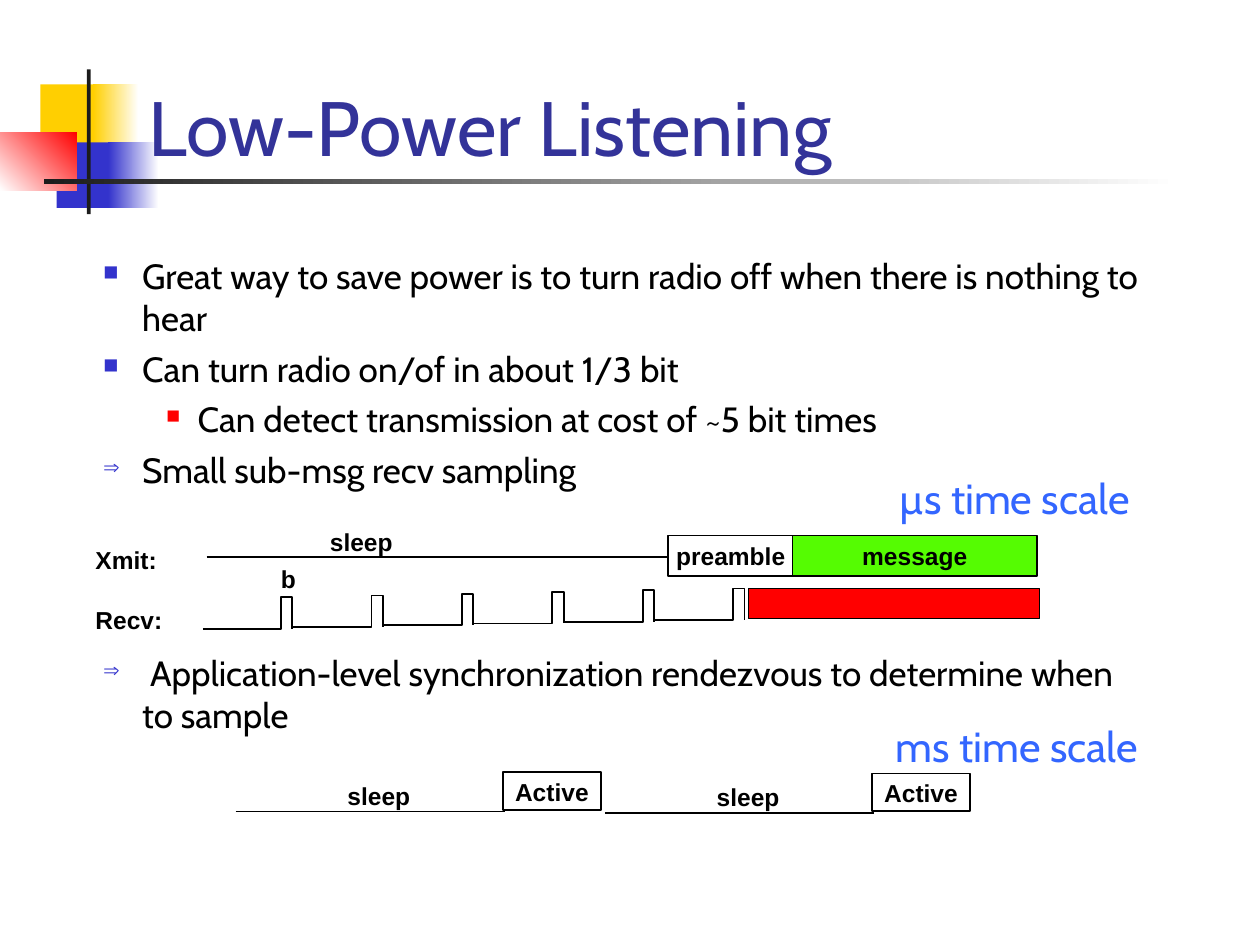
import pptx
import pptx.util
import pptx.dml.color
import pptx.enum.shapes
import pptx.enum.text
import pptx.oxml
import pptx.oxml.ns
import lxml.etree

Inches = pptx.util.Inches
Pt = pptx.util.Pt
ALIGN = pptx.enum.text.PP_ALIGN
ANCHOR = pptx.enum.text.MSO_ANCHOR

LABEL = {"name": "Arial", "size": Pt(14), "bold": True}
TITLE = {"name": "Cabin", "size": Pt(44)}
BODY = {"name": "Cabin", "size": Pt(20)}
SCALE = {"name": "Cabin", "size": Pt(24)}

DECORATION = [
    ((0.32, 0.67, 0.48, 0.52), ["FFCF01"], 0),
    ((0.74, 0.67, 0.36, 0.52), ["FFFFFF", "FFCF01"], 180),
    ((0.45, 1.13, 0.46, 0.52), ["3333CC"], 0),
    ((0.86, 1.13, 0.4, 0.52), ["FFFFFF", "3333CC"], 180),
    ((0, 1.05, 0.61, 0.46), ["FF0000", "FFFFFF"], 225),
    ((0.69, 0.55, 0.03, 1.15), ["1C1C1C"], 0),
    ((0.35, 1.42, 9, 0.04), ["FFFFFF", "1C1C1C"], 180),
]

BULLETS = [
    ("Great way to save power is to turn radio off when there is nothing to hear", 0, "■", 0),
    ("Can turn radio on/of in about 1/3 bit", 0, "■", 5),
    ("Can detect transmission at cost of ~5 bit times", 1, "■", 5),
    ("Small sub-msg recv sampling", 0, "⇒", 5),
    (" Application-level synchronization rendezvous to determine when to sample", 0, "⇒", 92),
]
LEVELS = [(0.31, -0.31, "3333CC", 60), (0.75, -0.25, "FF0000", 55)]


def rgb(color):
    return pptx.dml.color.RGBColor.from_string(color)


def apply(target, values):
    for name, value in values.items():
        setattr(target, name, value)


def outline(line):
    line.color.rgb = rgb("000000")
    line.width = Pt(1)


def add_paragraph(tf, text, font, color, first):
    p = tf.paragraphs[0] if first else tf.add_paragraph()
    r = p.add_run()
    r.text = text
    apply(r.font, font)
    r.font.color.rgb = rgb(color)
    return p


def add_text(s, box, lines, font, color="000000", gap=0, anchor=ANCHOR.TOP, wrap=False):
    tf = s.shapes.add_textbox(*map(Inches, box)).text_frame
    apply(tf, {"word_wrap": wrap, "vertical_anchor": anchor})
    for i, line in enumerate(lines):
        p = add_paragraph(tf, line, font, color, i == 0)
        if i:
            p.space_before = Pt(gap)


def add_bullet(p, level, char):
    left, indent, color, percent = LEVELS[level]
    pPr = p._p.get_or_add_pPr()
    pPr.set("marL", str(Inches(left)))
    pPr.set("indent", str(Inches(indent)))
    qn = pptx.oxml.ns.qn
    clr = lxml.etree.SubElement(pPr, qn("a:buClr"))
    lxml.etree.SubElement(clr, qn("a:srgbClr")).set("val", color)
    lxml.etree.SubElement(pPr, qn("a:buSzPct")).set("val", str(percent * 1000))
    lxml.etree.SubElement(pPr, qn("a:buChar")).set("char", char)


def add_body(s, box):
    tf = s.shapes.add_textbox(*map(Inches, box)).text_frame
    tf.word_wrap = True
    for i, (text, level, char, before) in enumerate(BULLETS):
        p = add_paragraph(tf, text, BODY, "000000", i == 0)
        p.level = level
        add_bullet(p, level, char)
        p.space_before = Pt(before)


def add_rect(s, box):
    sp = s.shapes.add_shape(pptx.enum.shapes.MSO_SHAPE.RECTANGLE, *map(Inches, box))
    sp.shadow.inherit = False
    return sp


def add_decoration(s, box, colors, angle):
    sp = add_rect(s, box)
    sp.line.fill.background()
    if len(colors) == 1:
        sp.fill.solid()
        sp.fill.fore_color.rgb = rgb(colors[0])
        return
    sp.fill.gradient()
    sp.fill.gradient_angle = angle
    for stop, color in zip(sp.fill.gradient_stops, colors):
        stop.color.rgb = rgb(color)


def add_block(s, box, fill, text=""):
    sp = add_rect(s, box)
    sp.fill.solid()
    sp.fill.fore_color.rgb = rgb(fill)
    outline(sp.line)
    if text:
        tf = sp.text_frame
        apply(tf, {"word_wrap": False, "vertical_anchor": ANCHOR.MIDDLE})
        add_paragraph(tf, text, LABEL, "000000", True).alignment = ALIGN.CENTER


def add_line(s, x1, x2, y):
    straight = pptx.enum.shapes.MSO_CONNECTOR.STRAIGHT
    c = s.shapes.add_connector(straight, *map(Inches, (x1, y, x2, y)))
    outline(c.line)
    lxml.etree.SubElement(c._element.spPr, pptx.oxml.ns.qn("a:effectLst"))


def add_pulse(s, x, y):
    points = [(0, 0.25), (0.62, 0.25), (0.62, 0), (0.71, 0), (0.71, 0.25)]
    corners = [(Inches(x + dx), Inches(y + dy)) for dx, dy in points]
    fb = s.shapes.build_freeform(*corners[0])
    fb.add_line_segments(corners[1:], close=False)
    sp = fb.convert_to_shape()
    sp.shadow.inherit = False
    sp.fill.background()
    outline(sp.line)


def add_sampling(s):
    add_text(s, (0.66, 4.28, 0.73, 0.8), ["Xmit:", "Recv:"], LABEL, gap=17)
    add_line(s, 1.64, 5.32, 4.42)
    add_block(s, (5.3, 4.25, 1, 0.32), "FFFFFF", "preamble")
    add_block(s, (6.29, 4.25, 1.94, 0.32), "55FC02", "message")
    add_text(s, (2.52, 4.13, 0.7, 0.34), ["sleep"], LABEL)
    for i in range(6):
        add_pulse(s, 1.61 + i * 3.59 / 5, 4.74 - i * 0.07 / 5)
    add_block(s, (5.94, 4.67, 2.31, 0.24), "FF0000")
    add_text(s, (2.13, 4.43, 0.32, 0.34), ["b"], LABEL)
    add_text(s, (7.04, 3.7, 2.22, 0.5), ["µs time scale"], SCALE, "3366FF")


def add_rendezvous(s):
    for start, active, y in [(1.87, 3.99, 6.13), (4.8, 6.92, 6.14)]:
        add_line(s, start, active + 0.02, y + 0.31)
        add_block(s, (active, y, 0.78, 0.3), "FFFFFF", "Active")
        add_text(s, (start + 0.79, y + 0.02, 0.7, 0.34), ["sleep"], LABEL)
    add_text(s, (7.01, 5.67, 2.33, 0.5), ["ms time scale"], SCALE, "3366FF")


def main():
    prs = pptx.Presentation()
    apply(prs, {"slide_width": Inches(10), "slide_height": Inches(7.5)})
    s = prs.slides.add_slide(prs.slide_layouts[6])
    for box, colors, angle in DECORATION:
        add_decoration(s, box, colors, angle)
    add_text(s, (1.08, 0.16, 8.52, 1.25), ["Low-Power Listening"], TITLE, "333399",
             anchor=ANCHOR.BOTTOM, wrap=True)
    add_body(s, (0.72, 1.97, 8.5, 3.98))
    add_sampling(s)
    add_rendezvous(s)
    prs.save("out.pptx")


if __name__ == "__main__":
    main()
